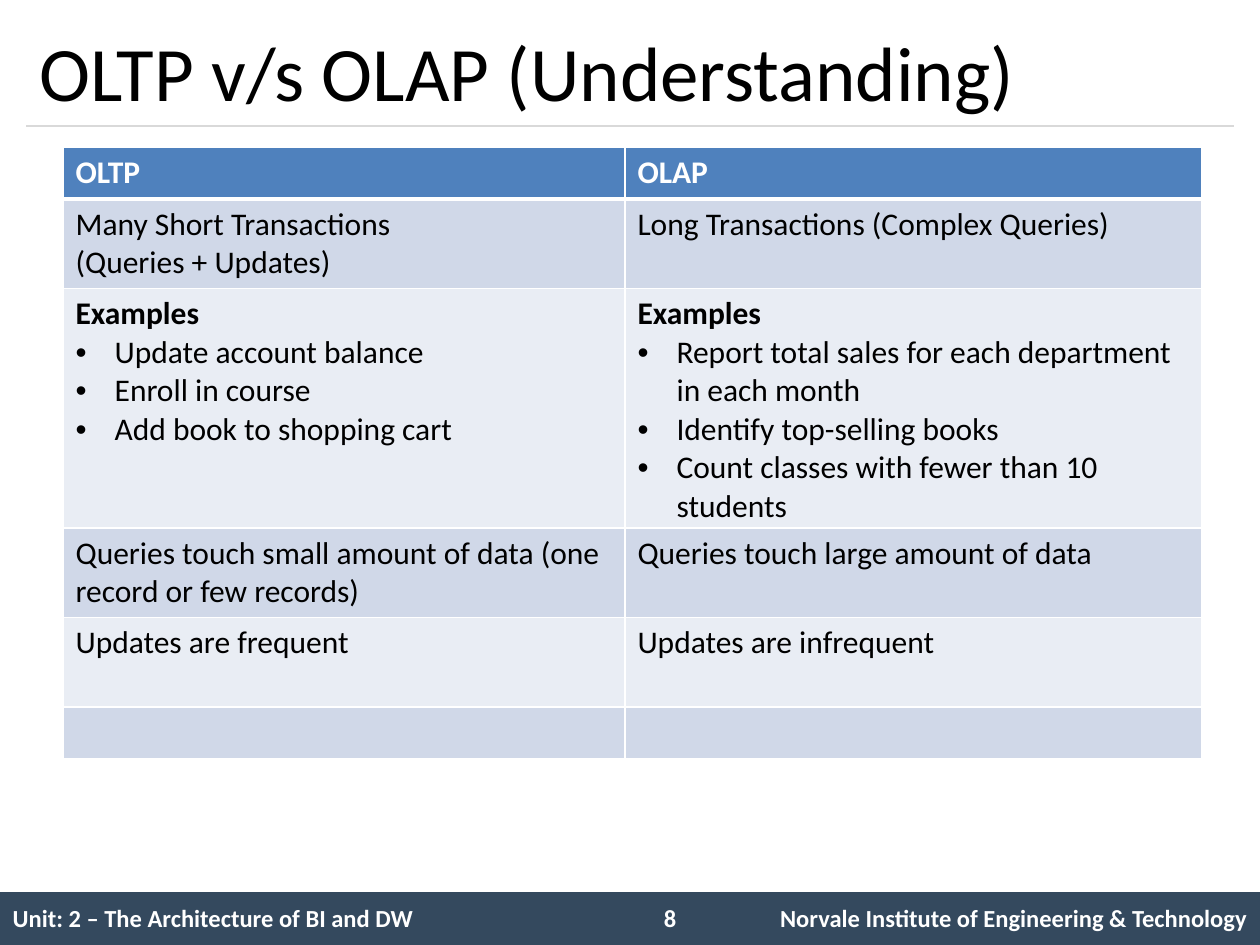
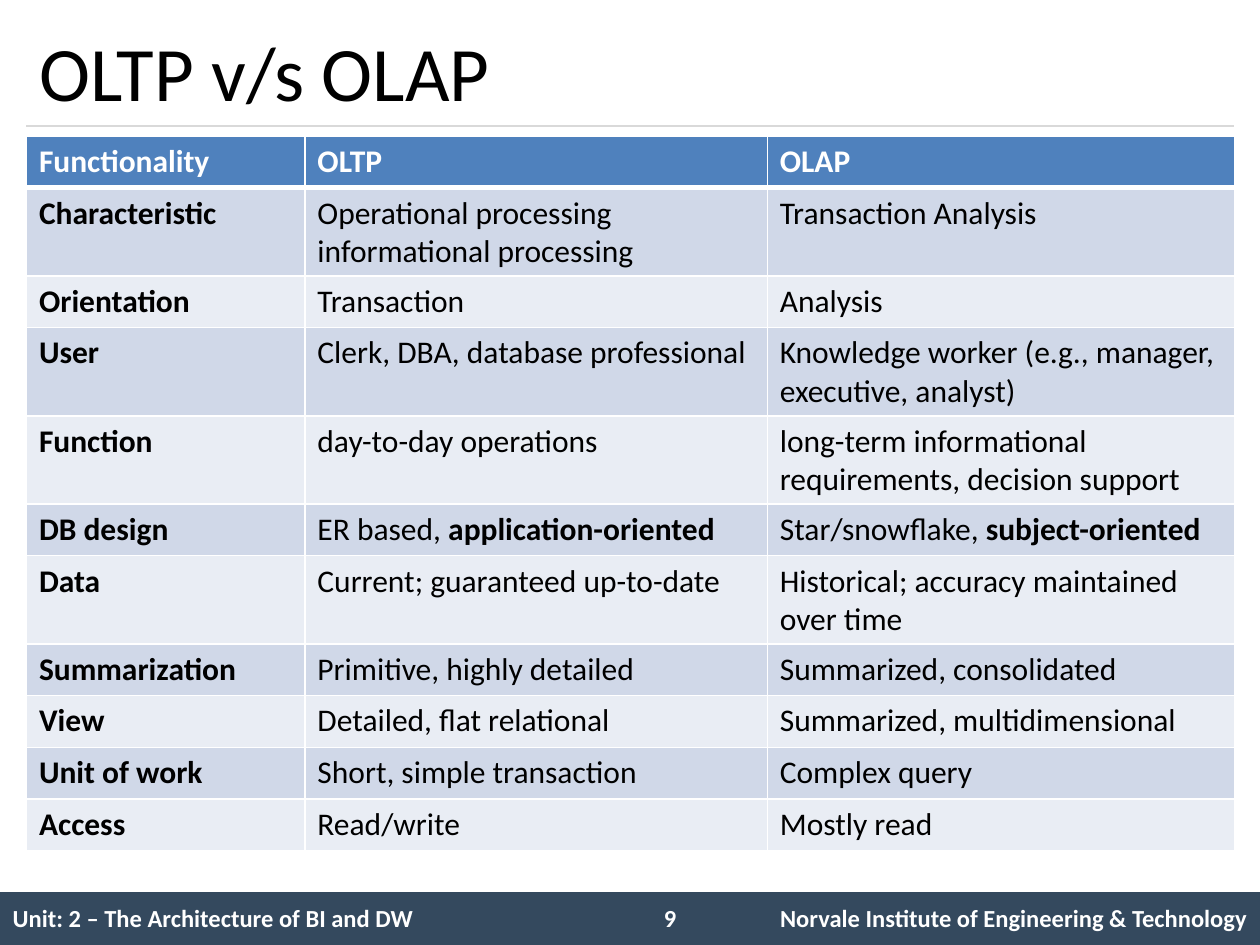
from dataclasses import dataclass

from lxml import etree
from pptx import Presentation
from pptx import util as u
from pptx.dml import color
from pptx.enum import shapes, text
from pptx.oxml import ns


@dataclass(frozen=True)
class Theme:
    font: str = "Calibri"
    ink: str = "000000"
    paper: str = "FFFFFF"
    band: str = "34495E"
    rule: str = "D9D9D9"
    header: str = "4F81BD"
    stripes: tuple = ("D0D8E8", "E9EDF4")
    title_size: int = 44
    body_size: int = 18
    footer_size: int = 14
    grid_width: int = 1
    header_rule_width: int = 3


UNIT = "Unit: 2 – The Architecture of BI and DW"
INSTITUTE = "Norvale Institute of Engineering & Technology"
FIRST_PAGE = 8
LINE_ROW, TWO_LINE_ROW, EXAMPLES_ROW = 0.41, 0.71, 1.63

# In table text a line break starts a paragraph, "• " a bullet, "**" toggles bold.
UNDERSTANDING = [
    ("OLTP", "OLAP"),
    ("Many Short Transactions\n(Queries + Updates)",
     "Long Transactions (Complex Queries)"),
    ("**Examples**\n• Update account balance\n• Enroll in course\n"
     "• Add book to shopping cart",
     "**Examples**\n• Report total sales for each department in each month\n"
     "• Identify top-selling books\n"
     "• Count classes with fewer than 10 students"),
    ("Queries touch small amount of data (one record or few records)",
     "Queries touch large amount of data"),
    ("Updates are frequent", "Updates are infrequent"),
    ("", ""),
]

COMPARISON = [
    ("Functionality", "OLTP", "OLAP"),
    ("Characteristic", "Operational processing informational processing",
     "Transaction Analysis"),
    ("Orientation", "Transaction", "Analysis"),
    ("User", "Clerk, DBA, database professional",
     "Knowledge worker (e.g., manager, executive, analyst)"),
    ("Function", "day-to-day operations",
     "long-term informational requirements, decision support"),
    ("DB design", "ER based, **application-oriented**",
     "Star/snowflake, **subject-oriented**"),
    ("Data", "Current; guaranteed up-to-date",
     "Historical; accuracy maintained\nover time"),
    ("Summarization", "Primitive, highly detailed", "Summarized, consolidated"),
    ("View", "Detailed, flat relational", "Summarized, multidimensional"),
    ("Unit of work", "Short, simple transaction", "Complex query"),
    ("Access", "Read/write", "Mostly read"),
]


def rgb(value):
    return color.RGBColor.from_string(value)


def box(*lengths):
    return [u.Inches(length) for length in lengths]


class Deck:
    def __init__(self, theme):
        self.theme = theme
        self.prs = Presentation()
        self.prs.slide_width, self.prs.slide_height = box(10, 7.5)
        self.slide = None

    # Slide frame: title, rule and footer
    def start_slide(self, heading):
        self.slide = self.prs.slides.add_slide(self.prs.slide_layouts[5])
        self.footer(FIRST_PAGE + len(self.prs.slides) - 1)
        self.rule(0.21, 9.79, 1)
        self.title(heading)

    def title(self, heading):
        title = self.slide.shapes.title
        title.left, title.top, title.width, title.height = box(0.21, 0.12, 9.58, 0.88)
        frame = title.text_frame
        frame.auto_size = text.MSO_AUTO_SIZE.NONE
        frame.vertical_anchor = text.MSO_ANCHOR.MIDDLE
        frame.paragraphs[0].alignment = text.PP_ALIGN.LEFT
        self.run(frame.paragraphs[0], heading, self.theme.title_size, self.theme.ink)

    def rule(self, left, right, y):
        rule = self.slide.shapes.add_connector(
            shapes.MSO_CONNECTOR.STRAIGHT, *box(left, y, right, y))
        rule.line.color.rgb = rgb(self.theme.rule)
        rule.line.width = u.Pt(0.75)
        etree.SubElement(rule.element.spPr, ns.qn("a:effectLst"))

    def footer(self, page):
        band = self.slide.shapes.add_shape(
            shapes.MSO_SHAPE.RECTANGLE, *box(0, 7.08, 10, 0.42))
        band.shadow.inherit = False
        band.fill.solid()
        band.fill.fore_color.rgb = rgb(self.theme.band)
        band.line.fill.background()

        labels = self.grid(0, 7.08, (5.08, 0.67, 4.25), (0.43,))
        labels.first_row = False
        for cell in labels.iter_cells():
            self.borders(cell, 0, 0)
            cell.fill.background()
            cell.vertical_anchor = text.MSO_ANCHOR.MIDDLE
        self.footer_run(labels.cell(0, 0).text_frame, UNIT)
        self.footer_run(labels.cell(0, 2).text_frame, INSTITUTE, text.PP_ALIGN.RIGHT)

        number = self.slide.shapes.add_textbox(*box(5.17, 7.12, 0.58, 0.34)).text_frame
        number.word_wrap = True
        self.footer_run(number, str(page))

    def footer_run(self, frame, words, align=text.PP_ALIGN.LEFT):
        frame.paragraphs[0].alignment = align
        self.run(frame.paragraphs[0], words, self.theme.footer_size,
                 self.theme.paper, True)

    # Text
    def run(self, paragraph, words, size, ink, bold=False):
        run = paragraph.add_run()
        run.text = words
        font = run.font
        font.name, font.size, font.bold = self.theme.font, u.Pt(size), bold
        font.color.rgb = rgb(ink)

    def bullet(self, paragraph):
        props = paragraph._p.get_or_add_pPr()
        props.set("marL", str(u.Inches(0.31)))
        props.set("indent", str(-u.Inches(0.31)))
        etree.SubElement(props, ns.qn("a:buFont"), typeface="Arial")
        etree.SubElement(props, ns.qn("a:buChar"), char="•")

    def cell_text(self, frame, words, ink, bold):
        for index, line in enumerate(words.split("\n")):
            paragraph = frame.add_paragraph() if index else frame.paragraphs[0]
            if line.startswith("• "):
                self.bullet(paragraph)
            for part, piece in enumerate(line.removeprefix("• ").split("**")):
                if piece:
                    self.run(paragraph, piece, self.theme.body_size, ink,
                             bold or part % 2 == 1)

    # Tables
    def grid(self, left, top, widths, heights):
        table = self.slide.shapes.add_table(
            len(heights), len(widths),
            *box(left, top, sum(widths), sum(heights))).table
        table.horz_banding = False
        for column, width in zip(table.columns, widths):
            column.width = u.Inches(width)
        for row, height in zip(table.rows, heights):
            row.height = u.Inches(height)
        return table

    def borders(self, cell, top, bottom):
        side = min(top, bottom)
        props = cell._tc.get_or_add_tcPr()
        for tag, width in (("lnL", side), ("lnR", side), ("lnT", top), ("lnB", bottom)):
            line = etree.SubElement(props, ns.qn("a:" + tag), w=str(u.Pt(width)))
            if width:
                fill = etree.SubElement(line, ns.qn("a:solidFill"))
                etree.SubElement(fill, ns.qn("a:srgbClr"), val=self.theme.paper)
            else:
                etree.SubElement(line, ns.qn("a:noFill"))

    def comparison(self, left, top, widths, heights, rows, bold_labels=False):
        theme = self.theme
        table = self.grid(left, top, widths, heights)
        for r, row in enumerate(rows):
            is_header = r == 0
            for c, words in enumerate(row):
                cell = table.cell(r, c)
                self.borders(
                    cell,
                    theme.header_rule_width if r == 1 else theme.grid_width,
                    theme.header_rule_width if is_header else theme.grid_width)
                cell.fill.solid()
                cell.fill.fore_color.rgb = rgb(
                    theme.header if is_header else theme.stripes[(r - 1) % 2])
                self.cell_text(cell.text_frame, words,
                               theme.paper if is_header else theme.ink,
                               is_header or (bold_labels and c == 0))


def main():
    deck = Deck(Theme())

    # Understanding the two kinds of system
    deck.start_slide("OLTP v/s OLAP (Understanding)")
    deck.comparison(
        0.5, 1.17, (4.46, 4.58),
        (LINE_ROW, TWO_LINE_ROW, EXAMPLES_ROW, TWO_LINE_ROW, TWO_LINE_ROW, LINE_ROW),
        UNDERSTANDING)

    # Feature by feature
    deck.start_slide("OLTP v/s OLAP")
    deck.comparison(0.21, 1.08, (2.21, 3.67, 3.71), [LINE_ROW] * len(COMPARISON),
                    COMPARISON, bold_labels=True)

    deck.prs.save("out.pptx")


if __name__ == "__main__":
    main()
